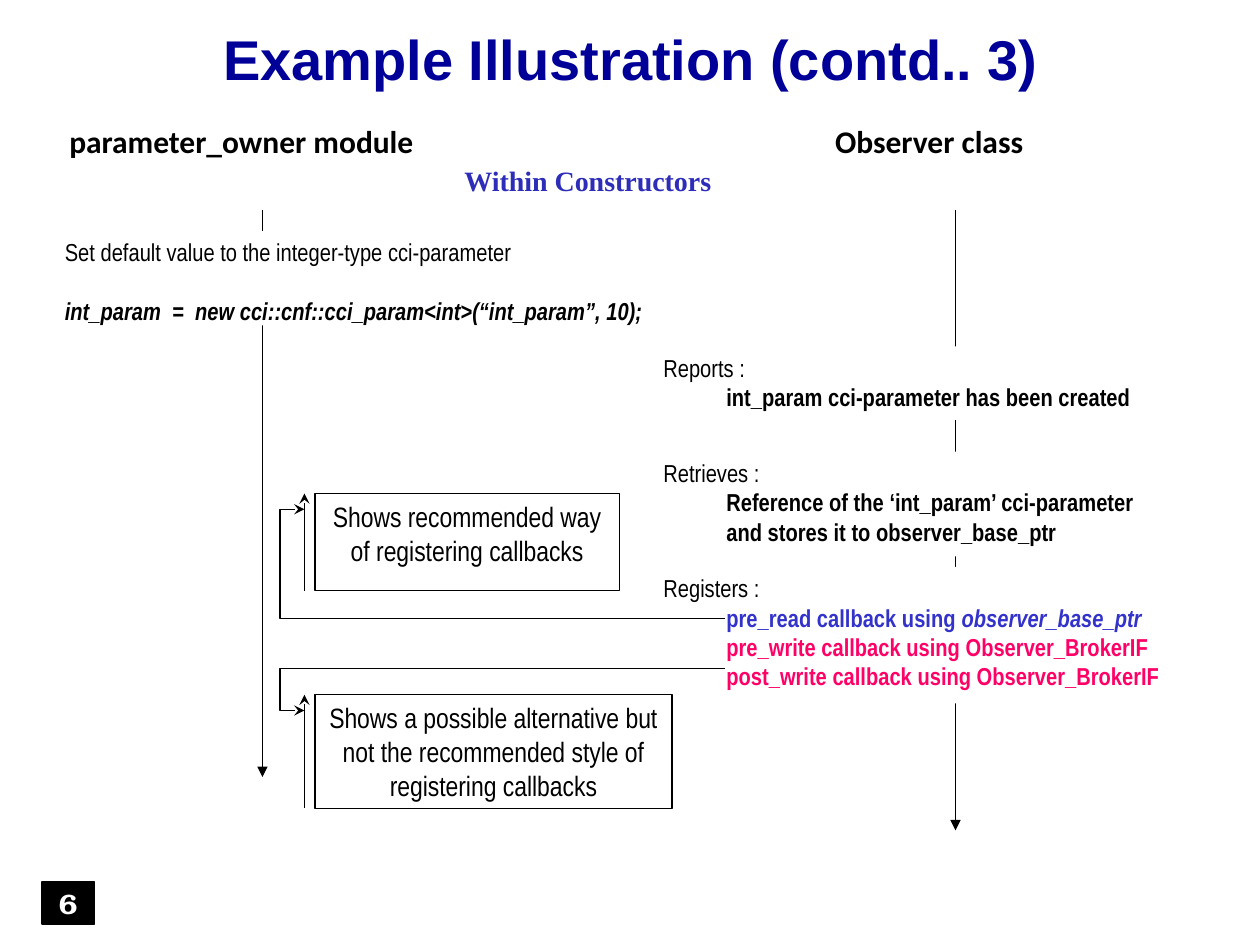
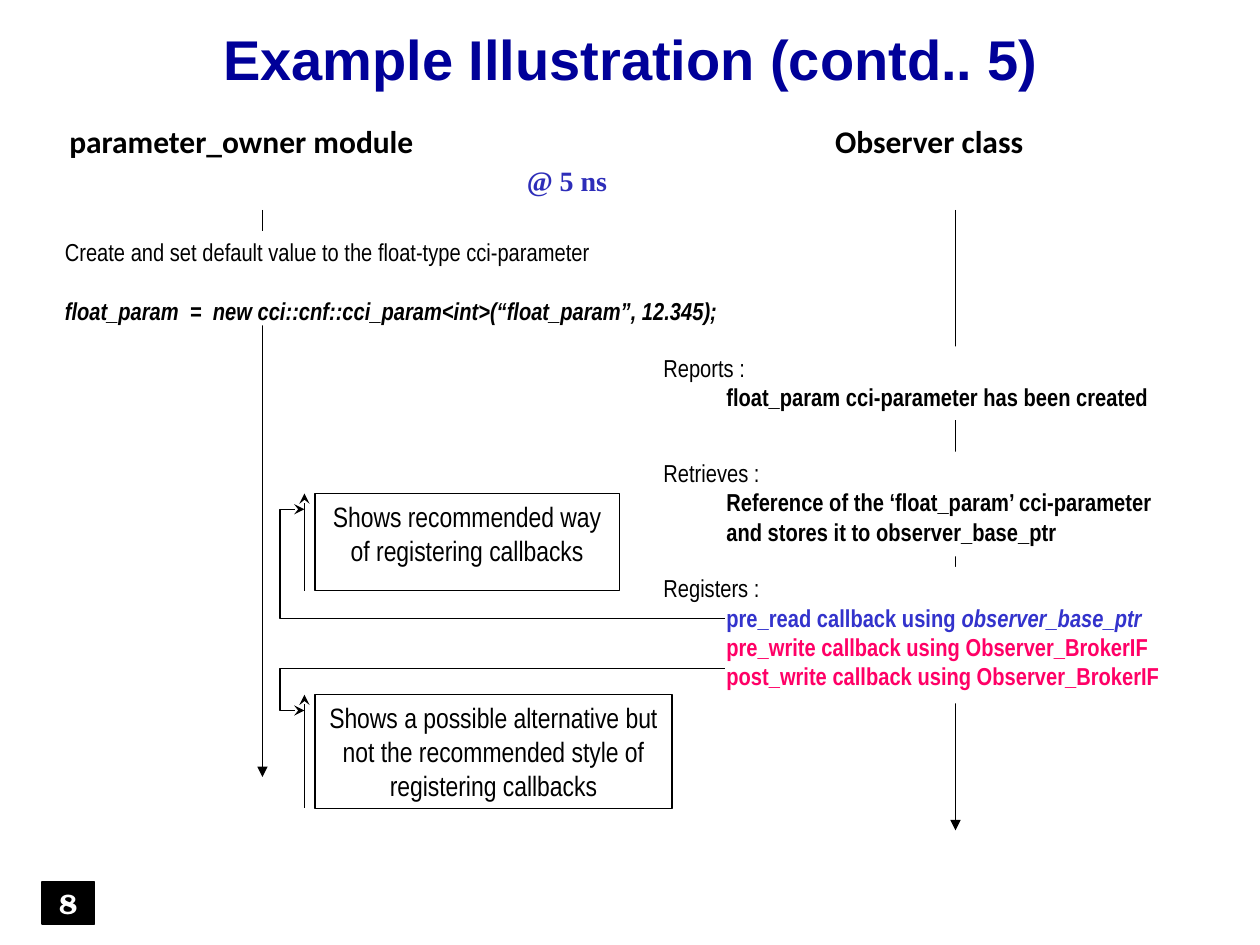
from dataclasses import dataclass

from lxml.etree import SubElement
from pptx import Presentation
from pptx.dml.color import RGBColor
from pptx.enum.shapes import MSO_CONNECTOR
from pptx.enum.text import MSO_ANCHOR, PP_ALIGN
from pptx.oxml.ns import qn
from pptx.util import Pt


@dataclass(frozen=True)
class Theme:
    black: str = "000000"
    white: str = "FFFFFF"
    title_blue: str = "000099"
    phase_blue: str = "2D2DB9"
    recommended: str = "3333CC"
    alternative: str = "FF0066"
    title_size: int = 32
    heading_size: int = 18
    label_size: int = 16
    body_size: int = 14
    line_width: float = 0.75


THEME = Theme()
TITLE = dict(name="Arial", size=THEME.title_size, color=THEME.title_blue, bold=True)
HEADING = dict(name="Calibri", size=THEME.heading_size, color=THEME.black, bold=True)
PHASE = dict(name="Times New Roman", size=THEME.label_size, color=THEME.phase_blue, bold=True)
PAGE = dict(name="TeX Gyre Bonum", size=THEME.label_size, color=THEME.white, bold=True)
CALLOUT = dict(name="Arial Narrow", size=THEME.label_size, color=THEME.black)
BODY = dict(name="Arial Narrow", size=THEME.body_size, color=THEME.black)
STRONG = BODY | dict(bold=True)
CODE = STRONG | dict(italic=True)
RECOMMENDED = STRONG | dict(color=THEME.recommended)
ALTERNATIVE = STRONG | dict(color=THEME.alternative)

STEP_INDENT = 36
CODE_GAP = 17
OWNER_X, OBSERVER_X = 150, 546
CALLOUT_LEFT, ACCENT_X, ELBOW_X, REGISTERS_X = 180, 174, 160, 414


def add_text(slide, box, paragraphs, align=PP_ALIGN.LEFT, anchor=MSO_ANCHOR.TOP, fill=None):
    """Add a text box; each paragraph is a list of (text, style) runs."""
    shape = slide.shapes.add_textbox(*map(Pt, box))
    if fill:
        shape.fill.solid()
        shape.fill.fore_color.rgb = RGBColor.from_string(fill)
    frame = shape.text_frame
    frame.word_wrap = True
    frame.vertical_anchor = anchor
    for index, runs in enumerate(paragraphs):
        paragraph = frame.paragraphs[0] if index == 0 else frame.add_paragraph()
        paragraph.alignment = align
        for text, style in runs:
            run = paragraph.add_run()
            run.text = text
            for attribute, value in style.items():
                if attribute == "color":
                    run.font.color.rgb = RGBColor.from_string(value)
                else:
                    setattr(run.font, attribute, Pt(value) if attribute == "size" else value)
    return shape


def style_line(shape, end=None, arrowhead=None):
    """Give a black outline without shadow; end is headEnd or tailEnd."""
    shape.line.color.rgb = RGBColor.from_string(THEME.black)
    shape.line.width = Pt(THEME.line_width)
    properties = shape.line._get_or_add_ln()
    if end:
        SubElement(properties, qn(f"a:{end}")).set("type", arrowhead)
    if properties.getparent().find(qn("a:effectLst")) is None:
        SubElement(properties.getparent(), qn("a:effectLst"))


# Per slide: title part, page, phase, its box, task, task width, code, parameter, width of "Retrieves"
SLIDES = [
    dict(
        part=3, page="6", phase="Within Constructors", phase_box=(228, 90, 216, 24),
        task="Set default value to the integer-type cci-parameter", task_width=354,
        code="int_param  =  new cci::cnf::cci_param<int>(“int_param”, 10);",
        parameter="int_param", retrieves_width=294,
    ),
    dict(
        part=5, page="8", phase="@ 5 ns", phase_box=(288, 90, 72, 24),
        task="Create and set default value to the float-type cci-parameter", task_width=396,
        code="float_param  =  new cci::cnf::cci_param<int>(“float_param”, 12.345);",
        parameter="float_param", retrieves_width=306,
    ),
]

# Top, width, height, height of the elbow's end at "Registers", text
CALLOUTS = [
    (282, 174, 55.5, 353.5, "Shows recommended way of registering callbacks"),
    (397, 204, 65, 382,
     "Shows a possible alternative but not the recommended style of registering callbacks"),
]

presentation = Presentation()
presentation.slide_width, presentation.slide_height = Pt(720), Pt(540)

for content in SLIDES:
    slide = presentation.slides.add_slide(presentation.slide_layouts[6])

    for x, bottom in [(OWNER_X, 444), (OBSERVER_X, 474.5)]:
        lifeline = slide.shapes.add_connector(
            MSO_CONNECTOR.STRAIGHT, Pt(x), Pt(120), Pt(x), Pt(bottom))
        style_line(lifeline, "tailEnd", "triangle")

    title = add_text(
        slide, (18.7, 11.5, 684, 49),
        [[(f"Example Illustration (contd.. {content['part']})", TITLE)]],
        PP_ALIGN.CENTER, MSO_ANCHOR.MIDDLE)
    title.text_frame.paragraphs[0].line_spacing = 0.85

    for box, text, style in [
        ((24, 66, 228, 30), "parameter_owner module", HEADING),
        ((426, 66, 210, 30), "Observer class", HEADING),
        (content["phase_box"], content["phase"], PHASE),
    ]:
        add_text(slide, box, [[(text, style)]], PP_ALIGN.CENTER, fill=THEME.white)

    page = add_text(slide, (24, 504, 30, 24), [[(content["page"], PAGE)]],
                    PP_ALIGN.CENTER, MSO_ANCHOR.MIDDLE, THEME.black)
    page.text_frame.word_wrap = False
    style_line(page)

    task = add_text(
        slide, (30, 132, content["task_width"], 54),
        [[(content["task"], BODY)], [(content["code"], CODE)]], fill=THEME.white)
    task.text_frame.paragraphs[1].space_before = Pt(CODE_GAP)

    parameter = content["parameter"]
    for top, width, height, heading, details in [
        (198, 294, 42, "Reports :",
         [[(f"{parameter} cci-parameter has been created", STRONG)]]),
        (258, content["retrieves_width"], 60, "Retrieves :",
         [[(f"Reference of the ‘{parameter}’ cci-parameter", STRONG)],
          [("and stores it to observer_base_ptr", STRONG)]]),
        (324, 312, 78, "Registers :",
         [[("pre_read callback using ", RECOMMENDED),
           ("observer_base_ptr", RECOMMENDED | dict(italic=True))],
          [("pre_write callback using Observer_BrokerIF", ALTERNATIVE)],
          [("post_write callback using Observer_BrokerIF", ALTERNATIVE)]]),
    ]:
        step = add_text(slide, (372, top, width, height),
                        [[(heading, BODY)], *details], fill=THEME.white)
        for detail in step.text_frame.paragraphs[1:]:
            detail._p.get_or_add_pPr().set("marL", str(Pt(STEP_INDENT)))

    for top, width, height, elbow_end, text in CALLOUTS:
        callout = add_text(slide, (CALLOUT_LEFT, top, width, height),
                           [[(text, CALLOUT)]], PP_ALIGN.CENTER)
        style_line(callout)

        accent = slide.shapes.add_connector(
            MSO_CONNECTOR.STRAIGHT, Pt(ACCENT_X), Pt(top), Pt(ACCENT_X), Pt(top + height))
        style_line(accent, "headEnd", "stealth")

        outline = slide.shapes.build_freeform(Pt(ACCENT_X), Pt(top + 9))
        outline.add_line_segments(
            [(Pt(ELBOW_X), Pt(top + 9)), (Pt(ELBOW_X), Pt(elbow_end)),
             (Pt(REGISTERS_X), Pt(elbow_end))], close=False)
        elbow = outline.convert_to_shape()
        elbow.fill.background()
        elbow.shadow.inherit = False
        style_line(elbow, "headEnd", "stealth")

presentation.save("out.pptx")
